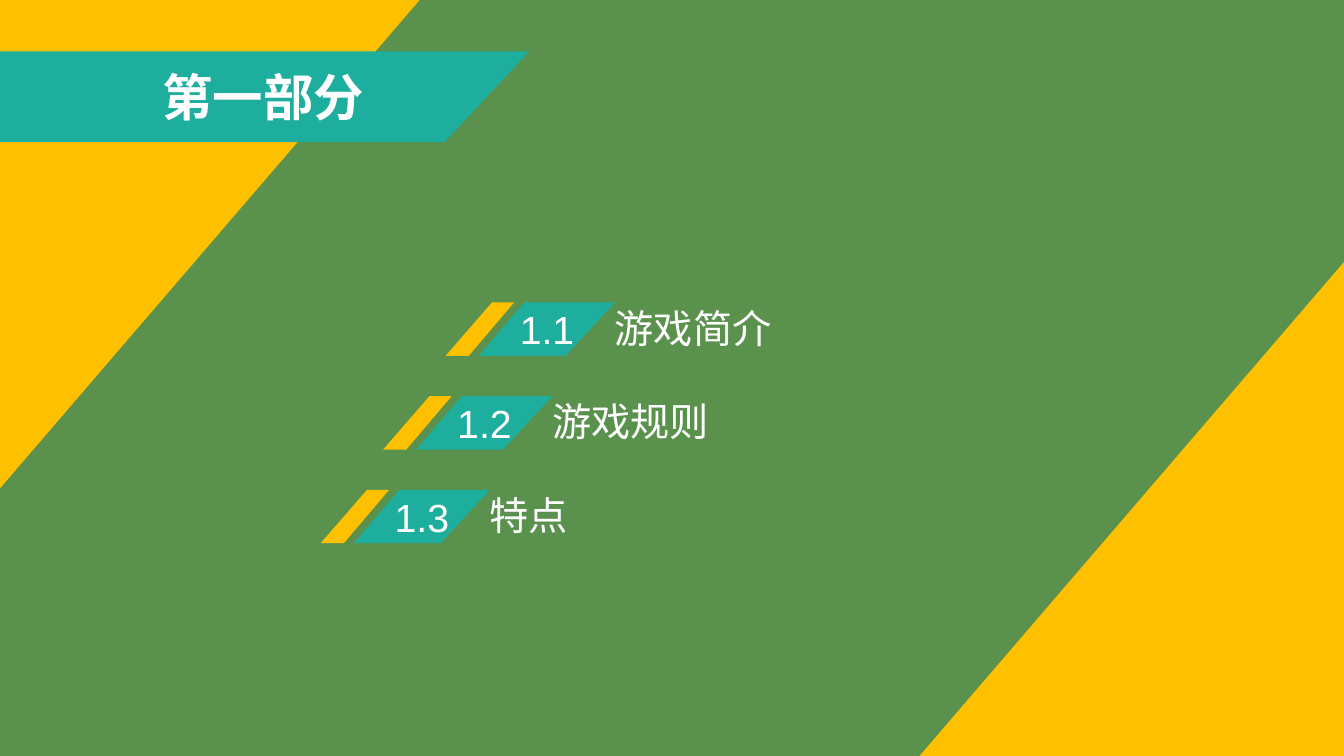
from pptx import Presentation
from pptx.dml.color import RGBColor as Rgb
from pptx.enum.shapes import MSO_SHAPE as Kind
from pptx.enum.text import MSO_ANCHOR as Anchor, MSO_AUTO_SIZE as Auto, PP_ALIGN as Align
from pptx.util import Inches, Pt

COLORS = {"green": "5A914D", "gold": "FFC000", "teal": "1DAE9E", "white": "FFFFFF"}


class Deck:
    font = "Arial"

    def __init__(self):
        self.prs = Presentation()
        self.prs.slide_width = Inches(13.33)
        self.prs.slide_height = Inches(7.5)
        self.slide = self.prs.slides.add_slide(self.prs.slide_layouts[5])
        self.shapes = self.slide.shapes
        self.paint(self.slide.background.fill, "green")

    def paint(self, fill, color):
        fill.solid()
        fill.fore_color.rgb = Rgb.from_string(COLORS[color])

    def dress(self, shape, color):
        self.paint(shape.fill, color)
        shape.line.fill.background()
        shape.shadow.inherit = False

    def letter(self, shape, text, size, align, anchor, bold=False):
        frame = shape.text_frame
        frame.word_wrap = True
        frame.auto_size = Auto.NONE
        frame.vertical_anchor = anchor
        para = frame.paragraphs[0]
        para.alignment = align
        run = para.add_run()
        run.text = text
        run.font.name = self.font
        run.font.size = Pt(size)
        run.font.bold = bold
        run.font.color.rgb = Rgb.from_string(COLORS["white"])
        return para

    def corner(self, x, y, flip):
        shape = self.shapes.add_shape(
            Kind.RIGHT_TRIANGLE, Inches(x), Inches(y), Inches(4.21), Inches(4.9))
        shape.element.spPr.xfrm.set(flip, "1")
        self.dress(shape, "gold")

    def slant(self, points, color):
        spots = [(Inches(x), Inches(y)) for x, y in points]
        outline = self.shapes.build_freeform(*spots[0], scale=1.0)
        outline.add_line_segments(spots[1:], close=True)
        shape = outline.convert_to_shape()
        self.dress(shape, color)
        return shape

    def title(self, text, x, y, w, h):
        box = self.shapes.title
        box.left, box.top, box.width, box.height = map(Inches, (x, y, w, h))
        # Bring the title in front of its banner
        self.shapes.element.append(box.element)
        self.letter(box, text, 36, Align.CENTER, Anchor.MIDDLE, bold=True)

    def label(self, text, x, y):
        box = self.shapes.add_textbox(Inches(x), Inches(y), Inches(5.33), Inches(0.57))
        para = self.letter(box, text, 28, Align.LEFT, Anchor.TOP)
        para.line_spacing = 0.9

    def entry(self, mark, text, x, y):
        low = y + 0.53
        self.label(text, x + 1.58, y + 0.02)
        self.slant([(x + 0.46, y), (x + 0.68, y), (x + 0.23, low), (x, low)], "gold")
        tag = self.slant(
            [(x + 0.78, y), (x + 1.68, y), (x + 1.19, low), (x + 0.33, low)], "teal")
        self.letter(tag, mark, 28, Align.CENTER, Anchor.MIDDLE)


def main():
    deck = Deck()

    # Gold corners
    deck.corner(9.12, 2.6, "flipH")
    deck.corner(-0.03, -0.02, "flipV")

    # Banner with the section title
    deck.slant([(-0.03, 0.51), (5.25, 0.51), (4.41, 1.41), (-0.03, 1.41)], "teal")
    deck.title("第一部分", -0.03, 0.51, 5.28, 0.9)

    # Entries stepping down to the left
    for i, text in enumerate(["游戏简介", "游戏规则", "特点"]):
        deck.entry(f"1.{i + 1}", text, 4.42 - 0.62 * i, 3 + 0.93 * i)

    deck.prs.save("out.pptx")


if __name__ == "__main__":
    main()
